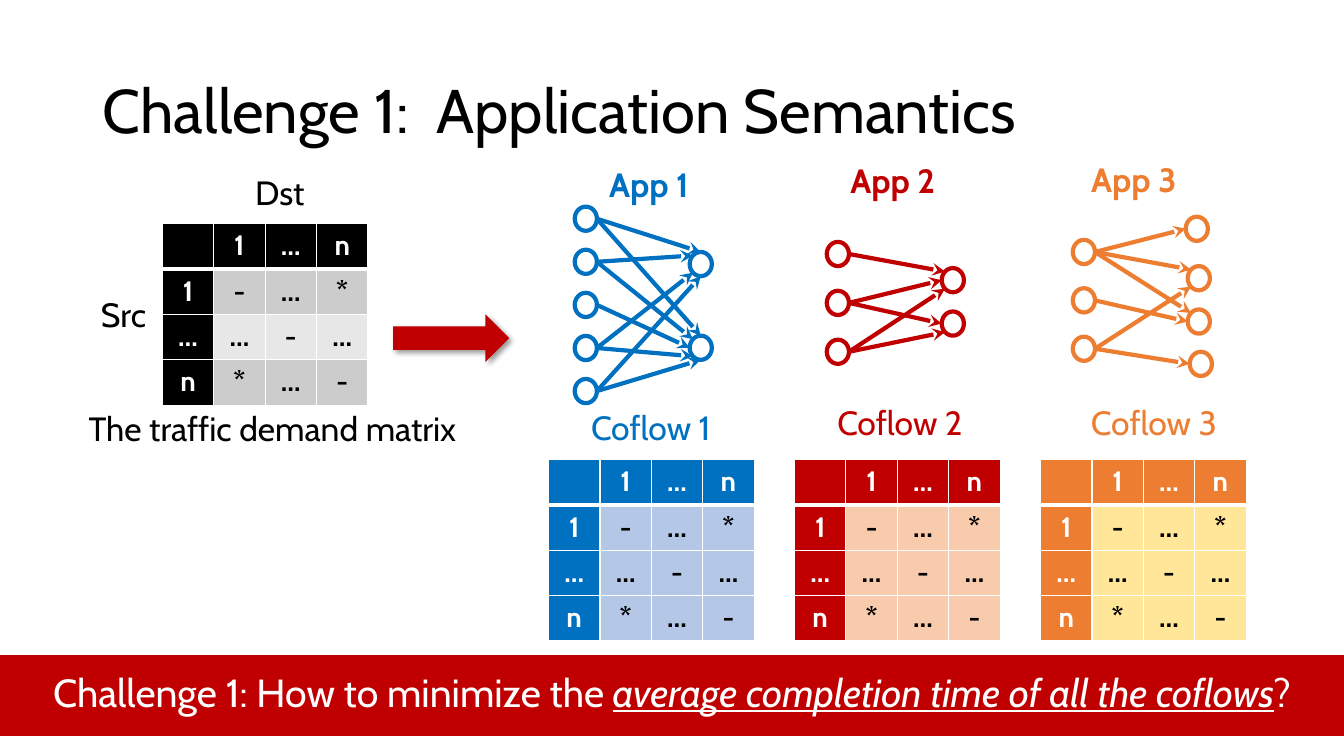
from math import cos, radians, sin

from lxml import etree
from pptx import Presentation
from pptx.dml.color import RGBColor
from pptx.enum.shapes import MSO_CONNECTOR, MSO_SHAPE
from pptx.enum.text import MSO_ANCHOR, PP_ALIGN
from pptx.oxml import parse_xml
from pptx.oxml.ns import qn
from pptx.util import Inches, Pt

FONT = "Cabin"
BLACK, WHITE, BLUE, RED, ORANGE = "000000", "FFFFFF", "0070C0", "C00000", "ED7D31"
SLIDE_W, SLIDE_H = 13.33, 7.5

TITLE = "Challenge 1:  Application Semantics"
QUESTION = [
    ("Challenge 1: How to minimize the ", False),
    ("average completion time of all the coflows", True),
    ("?", False),
]
MATRIX = [
    ["", "1", "…", "n"],
    ["1", "-", "…", "*"],
    ["…", "…", "-", "…"],
    ["n", "*", "…", "-"],
]
MATRIX_LABELS = [  # text, left, top, width, alignment
    ("The traffic demand matrix", 0.78, 4.0, 5.76, PP_ALIGN.LEFT),
    ("Dst", 2.2, 1.66, 1.15, PP_ALIGN.CENTER),
    ("Src", 0.65, 2.87, 1.15, PP_ALIGN.CENTER),
]

# Nodes are (x, y) centres; edges are (source, target, side of the target).
APPS = [
    dict(
        name="App 1", name_at=(5.86, 1.58),
        coflow="Coflow 1", coflow_at=(5.46, 3.99), level=0,
        color=BLUE, tint="B4C7E7",
        sources=[(5.81, 2.17 + 0.4275 * i) for i in range(5)],
        targets=[(6.95, 2.62), (6.95, 3.45)],
        edges=[(0, 1, "top"), (1, 1, "upper left"), (2, 1, "left"),
               (3, 1, "lower left"), (4, 1, "bottom"), (0, 0, "top"),
               (1, 0, "upper left"), (3, 0, "lower left"), (4, 0, "bottom")],
    ),
    dict(
        name="App 2", name_at=(8.28, 1.54),
        coflow="Coflow 2", coflow_at=(7.93, 3.94), level=0,
        color=RED, tint="F8CBAD",
        sources=[(8.31, 2.52 + 0.485 * i) for i in range(3)],
        targets=[(9.45, 2.78), (9.45, 3.21)],
        edges=[(1, 1, "left"), (2, 1, "lower left"), (0, 0, "upper left"),
               (1, 0, "left"), (2, 0, "lower left")],
    ),
    dict(
        name="App 3", name_at=(10.67, 1.53),
        coflow="Coflow 3", coflow_at=(10.2, 3.94), level=1,
        color=ORANGE, tint="FFE699",
        sources=[(10.75, 2.5 + 0.48 * i) for i in range(3)],
        targets=[(11.87, 2.27), (11.89, 2.76), (11.89, 3.19), (11.91, 3.61)],
        edges=[(0, 2, "upper left"), (1, 2, "left"), (0, 1, "upper left"),
               (2, 1, "lower left"), (0, 0, "left"), (2, 3, "left")],
    ),
]
SIDE_ANGLES = {"top": 270, "upper left": 225, "left": 180,
               "lower left": 135, "bottom": 90}
NODE_W, NODE_H = 0.22, 0.24
CELL_W, CELL_H = 0.51, 0.45
COFLOW_LEFT, COFLOW_TOP, COFLOW_PITCH = 5.44, 4.56, 2.44


def rgb(color):
    return RGBColor.from_string(color)


def box(left, top, width, height):
    return [Inches(v) for v in (left, top, width, height)]


def add_run(paragraph, text, size, color, bold=False, emphasis=False):
    run = paragraph.add_run()
    run.text = text
    font = run.font
    font.name, font.size, font.bold = FONT, Pt(size), bold
    font.italic = font.underline = emphasis
    font.color.rgb = rgb(color)


def add_label(slide, text, place, color, size=24, align=PP_ALIGN.CENTER, bold=False, level=0):
    frame = slide.shapes.add_textbox(*box(*place)).text_frame
    frame.word_wrap = True
    paragraph = frame.paragraphs[0]
    paragraph.alignment, paragraph.level = align, level
    add_run(paragraph, text, size, color, bold)
    return frame


def add_filled(slide, kind, place, color):
    shape = slide.shapes.add_shape(kind, *box(*place))
    shape.shadow.inherit = False
    shape.fill.solid()
    shape.fill.fore_color.rgb = rgb(color)
    shape.line.fill.background()
    return shape


def set_borders(cell, widths):
    """Insert white cell borders, widths in points by tag, ahead of the fill."""
    properties = cell._tc.get_or_add_tcPr()
    for position, (tag, width) in enumerate(widths.items()):
        line = etree.Element(qn(f"a:{tag}"), w=str(Pt(width)))
        fill = etree.SubElement(line, qn("a:solidFill"))
        etree.SubElement(fill, qn("a:srgbClr"), val=WHITE)
        properties.insert(position, line)


def add_matrix(slide, left, top, head, tints):
    """Add the n by n matrix; tints are the body fills, row by row."""
    size = len(MATRIX)
    table = slide.shapes.add_table(
        size, size, *box(left, top, size * CELL_W, size * CELL_H)).table
    for r, texts in enumerate(MATRIX):
        for c, text in enumerate(texts):
            cell = table.cell(r, c)
            is_head = r == 0 or c == 0
            cell.fill.solid()
            cell.fill.fore_color.rgb = rgb(head if is_head else tints[r - 1])
            set_borders(cell, {"lnL": 1, "lnR": 1, "lnT": 3 if r == 1 else 1,
                               "lnB": 3 if r == 0 else 1})
            paragraph = cell.text_frame.paragraphs[0]
            paragraph.alignment = PP_ALIGN.CENTER
            paragraph.font.size = Pt(20)
            if text:
                add_run(paragraph, text, 20, WHITE if is_head else BLACK, bold=True)


def add_edge(slide, source, target, side, color):
    angle = radians(SIDE_ANGLES[side])
    ends = (source[0] + NODE_W / 2, source[1],
            target[0] + NODE_W / 2 * cos(angle), target[1] + NODE_H / 2 * sin(angle))
    edge = slide.shapes.add_connector(MSO_CONNECTOR.STRAIGHT, *box(*ends))
    edge.line.color.rgb = rgb(color)
    edge.line.width = Pt(3)
    etree.SubElement(edge.line._get_or_add_ln(), qn("a:tailEnd"), type="stealth")
    etree.SubElement(edge._element.spPr, qn("a:effectLst"))


def add_node(slide, center, color):
    node = slide.shapes.add_shape(MSO_SHAPE.OVAL, *box(
        center[0] - NODE_W / 2, center[1] - NODE_H / 2, NODE_W, NODE_H))
    node.shadow.inherit = False
    node.fill.background()
    node.line.color.rgb = rgb(color)
    node.line.width = Pt(3)


def add_app(slide, app, column):
    color = app["color"]
    for source, target, side in app["edges"]:
        add_edge(slide, app["sources"][source], app["targets"][target], side, color)
    for center in app["sources"] + app["targets"]:
        add_node(slide, center, color)
    add_label(slide, app["name"], (*app["name_at"], 1.15, 0.91), color, bold=True)
    add_label(slide, app["coflow"], (*app["coflow_at"], 1.99, 0.91), color, level=app["level"])
    add_matrix(slide, COFLOW_LEFT + column * COFLOW_PITCH, COFLOW_TOP, color, [app["tint"]] * 3)


def add_split_arrow(slide):
    arrow = add_filled(slide, MSO_SHAPE.RIGHT_ARROW, (3.9, 3.12, 1.15, 0.47), RED)
    arrow._element.spPr.find(qn("a:effectLst")).append(parse_xml(
        '<a:outerShdw xmlns:a="http://schemas.openxmlformats.org/drawingml/2006/main" '
        f'blurRad="{Pt(4)}" dist="{Pt(3)}" dir="2700000" algn="tl" rotWithShape="0">'
        f'<a:srgbClr val="{BLACK}"><a:alpha val="40000"/></a:srgbClr></a:outerShdw>'))


def add_question(slide):
    band = add_filled(slide, MSO_SHAPE.ROUNDED_RECTANGLE, (0, 6.5, SLIDE_W, 0.8), RED)
    band.adjustments[0] = 0
    question = add_filled(slide, MSO_SHAPE.RECTANGLE, (0, 6.57, SLIDE_W, 0.58), RED)
    paragraph = question.text_frame.paragraphs[0]
    paragraph.alignment = PP_ALIGN.CENTER
    for text, emphasis in QUESTION:
        add_run(paragraph, text, 28, WHITE, emphasis=emphasis)


def main():
    deck = Presentation()
    deck.slide_width, deck.slide_height = Inches(SLIDE_W), Inches(SLIDE_H)
    slide = deck.slides.add_slide(deck.slide_layouts[6])
    title = add_label(slide, TITLE, (0.92, 0.4, 11.5, 1.45), BLACK, 44, PP_ALIGN.LEFT)
    title.vertical_anchor = MSO_ANCHOR.MIDDLE
    title.paragraphs[0].line_spacing = 0.9
    for text, left, top, width, align in MATRIX_LABELS:
        add_label(slide, text, (left, top, width, 0.5), BLACK, align=align)
    add_matrix(slide, 1.61, 2.22, BLACK, ["CCCCCC", "E7E7E7", "CCCCCC"])
    for column, app in enumerate(APPS):
        add_app(slide, app, column)
    add_split_arrow(slide)
    add_question(slide)
    deck.save("out.pptx")


if __name__ == "__main__":
    main()
